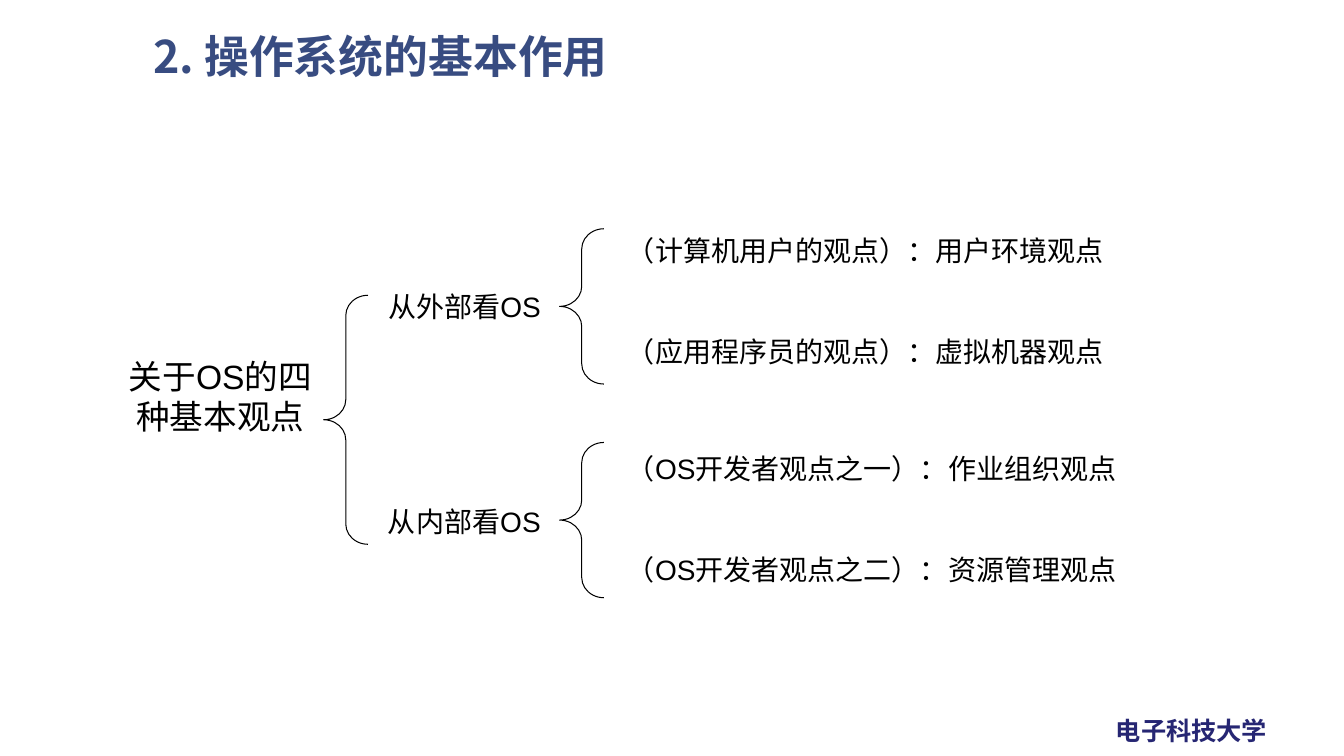
from lxml import etree
from pptx import Presentation
from pptx.dml.color import RGBColor
from pptx.enum.lang import MSO_LANGUAGE_ID as LANG
from pptx.enum.shapes import MSO_SHAPE as SHAPE
from pptx.enum.text import MSO_ANCHOR as ANCHOR, PP_ALIGN as ALIGN
from pptx.oxml.ns import qn
from pptx.util import Inches, Pt

BLACK = RGBColor(0x00, 0x00, 0x00)
TITLE_BLUE = RGBColor(0x38, 0x4C, 0x81)
FOOTER_BLUE = RGBColor(0x26, 0x26, 0x73)
LATIN, CJK = "Arial", "Noto Sans CJK SC"

TITLE = "2. 操作系统的基本作用"
FOOTER = "电子科技大学"
ROOT = "关于OS的四种基本观点"
# label, label top, label width, brace top, views top, views
BRANCHES = [
    ("从外部看OS", 2.82, 1.89, 2.27, 2.27,
     ["（计算机用户的观点）：用户环境观点", "（应用程序员的观点）：虚拟机器观点"]),
    ("从内部看OS", 4.96, 1.76, 4.39, 4.43,
     ["（OS开发者观点之一）：作业组织观点", "（OS开发者观点之二）：资源管理观点"]),
]
LABEL_X, BRACE_X, VIEWS_X = 3.75, 5.55, 6.12
BRACE_W, BRACE_H = 0.44, 1.54


def add_text(s, lines, x, y, w, h, size=20, font=LATIN, color=BLACK, bold=False,
             align=ALIGN.LEFT, anchor=ANCHOR.TOP, wrap=True, spacing=None, gap=0):
    tf = s.shapes.add_textbox(Inches(x), Inches(y), Inches(w), Inches(h)).text_frame
    tf.word_wrap = wrap
    tf.vertical_anchor = anchor
    for i, line in enumerate(lines):
        p = tf.add_paragraph() if i else tf.paragraphs[0]
        p.alignment = align
        if spacing:
            p.line_spacing = spacing
        if i:
            p.space_before = Pt(gap)
        r = p.add_run()
        r.text = line
        r.font.size, r.font.bold, r.font.name = Pt(size), bold, font
        r.font.color.rgb = color
        r.font.language_id = LANG.SIMPLIFIED_CHINESE
        latin = r.font._element.find(qn("a:latin"))
        east_asian = etree.Element(qn("a:ea"), typeface=font)
        latin.addnext(east_asian)


def add_brace(s, x, y, h):
    brace = s.shapes.add_shape(SHAPE.LEFT_BRACE, Inches(x), Inches(y),
                               Inches(BRACE_W), Inches(h))
    brace.adjustments[0], brace.adjustments[1] = 0.454, 0.5
    brace.shadow.inherit = False
    brace.fill.background()
    brace.line.color.rgb = BLACK
    brace.line.width = Pt(0.75)


prs = Presentation()
prs.slide_width, prs.slide_height = Inches(13.33), Inches(7.5)
s = prs.slides.add_slide(prs.slide_layouts[6])

add_text(s, [FOOTER], 10.97, 7.05, 1.73, 0.4, size=18, font=CJK,
         color=FOOTER_BLUE, bold=True, wrap=False)
add_text(s, [TITLE], 1.42, 0.29, 10.69, 0.6, size=32, font=CJK,
         color=TITLE_BLUE, bold=True, anchor=ANCHOR.MIDDLE, spacing=0.9)

add_text(s, [ROOT], 1.15, 3.48, 2.07, 0.91, size=24, align=ALIGN.CENTER)
add_brace(s, 3.21, 2.93, 2.47)
for label, label_y, label_w, brace_y, views_y, views in BRANCHES:
    add_text(s, [label], LABEL_X, label_y, label_w, 0.44)
    add_brace(s, BRACE_X, brace_y, BRACE_H)
    add_text(s, views, VIEWS_X, views_y, 5.88, 1.45, gap=48)

prs.save("out.pptx")
